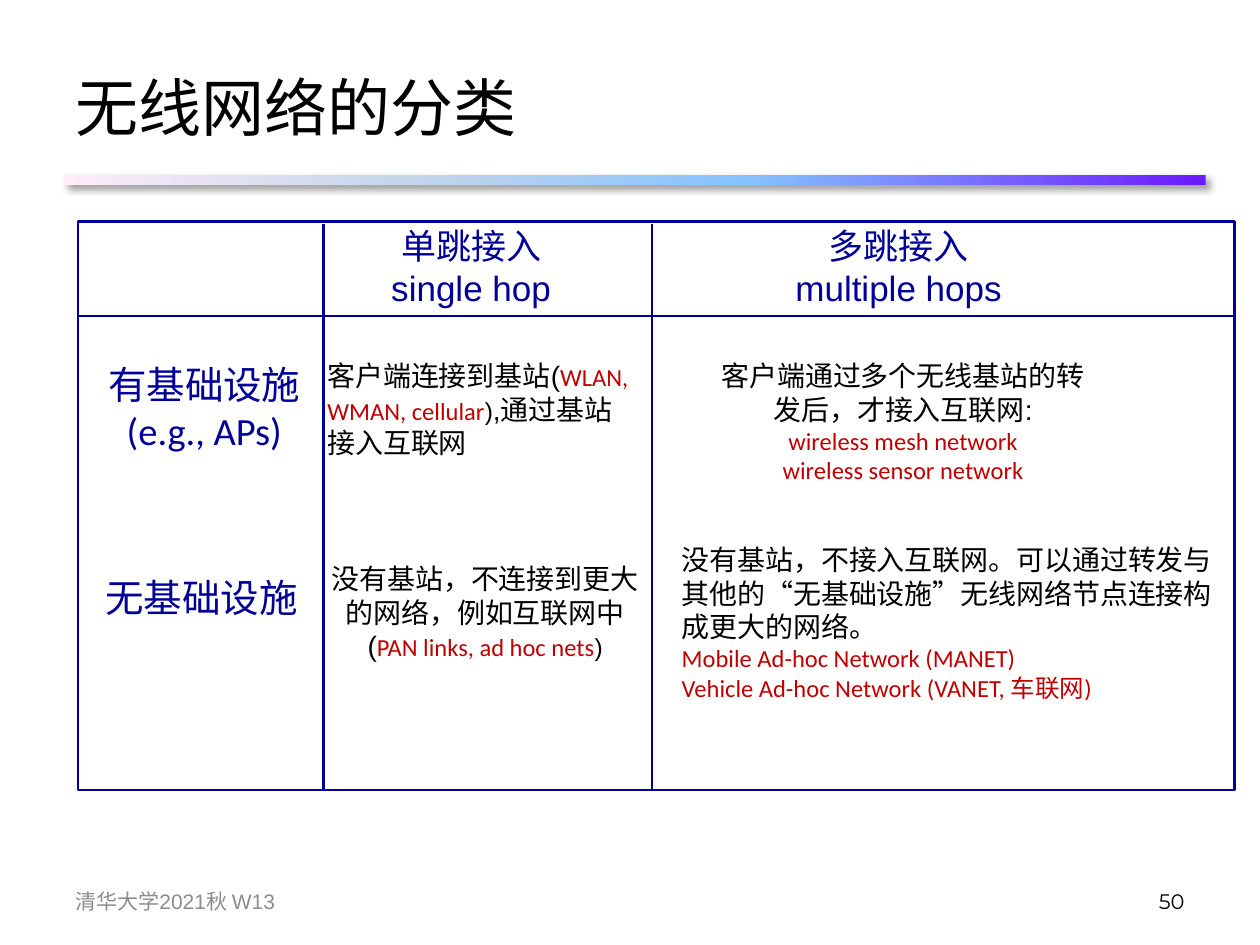
"""Build a slide that classifies wireless networks by hops and infrastructure."""
import lxml.etree
import pptx
import pptx.dml.color
import pptx.enum.shapes
import pptx.enum.text
import pptx.oxml.ns
import pptx.util

Pt = pptx.util.Pt
RGBColor = pptx.dml.color.RGBColor
qn = pptx.oxml.ns.qn
ALIGN = pptx.enum.text.PP_ALIGN
ANCHOR = pptx.enum.text.MSO_ANCHOR
SHAPE = pptx.enum.shapes.MSO_SHAPE

BLACK = RGBColor(0x00, 0x00, 0x00)
NAVY = RGBColor(0x00, 0x00, 0x99)
RED = RGBColor(0xC0, 0x00, 0x00)
GREY = RGBColor(0x8C, 0x8C, 0x8C)
BAR_STOPS = [(0, RGBColor(0x6B, 0x19, 0xFF)), (40, RGBColor(0x85, 0xC2, 0xFF)),
             (70, RGBColor(0xC4, 0xD6, 0xEB)), (100, RGBColor(0xFF, 0xEB, 0xFA))]

STYLES = {
    "title": (36, "Calibri", BLACK),
    "column": (20, "Arial", NAVY),
    "row": (22, "Calibri", NAVY),
    "body": (16, "Arial", BLACK),
    "small": (14, "Arial", BLACK),
    "example": (14, "Calibri", RED),
    "footer": (12, "Arial", GREY),
    "number": (12, "Montserrat", BLACK),
}

TITLE = "无线网络的分类"
HEADINGS = [
    ((216, 124.5, 106.5, 55.5), "column", ["单跳接入", "single hop"]),
    ((446.5, 124.5, 134, 55.5), "column", ["多跳接入", "multiple hops"]),
    ((54, 202.5, 125.5, 60.5), "row", ["有基础设施", "(e.g., APs)"]),
    ((52.5, 324.5, 125.5, 34), "row", ["无基础设施"]),
]
CELLS = [
    ((180, 201.5, 191.5, 65.5), ALIGN.LEFT, [
        [("客户端连接到基站(", "body"), ("WLAN,", "example")],
        [("WMAN, cellular", "example"), (")", "small"), (",通过基站接入互联网", "body")]]),
    ((178, 317.5, 198.5, 65.5), ALIGN.CENTER, [
        [("没有基站，不连接到更大", "body")],
        [("的网络，例如互联网中(", "body"), ("PAN links, ad hoc nets", "example"),
         (")", "small")]]),
    ((399, 201.5, 234, 80), ALIGN.CENTER, [
        [("客户端通过多个无线基站的转发后，才接入互联网:", "body")],
        [("wireless mesh network", "example")],
        [("wireless sensor network", "example")]]),
    ((382.5, 306.5, 324, 99.5), ALIGN.LEFT, [
        [("没有基站，不接入互联网。可以通过转发与其他的“无基础设施”无线网络节点连接构成更大的网络。",
          "body")],
        [("Mobile Ad-hoc Network (MANET)", "example")],
        [("Vehicle Ad-hoc Network (VANET, 车联网)", "example")]]),
]
FOOTERS = [
    ((36, 500.5, 168, 28.5), ALIGN.LEFT, "清华大学2021秋 W13", "footer"),
    ((516, 500.5, 168, 28.5), ALIGN.RIGHT, "50", "number"),
]
BAR = (36.5, 100, 652.5, 6)
GRID = (44.5, 126.5, 661, 325)
HEADER_BOTTOM = 180.5
COLUMN_EDGES = [185, 372.5]


def write(frame, paragraphs, align):
    for index, pieces in enumerate(paragraphs):
        paragraph = frame.paragraphs[0] if index == 0 else frame.add_paragraph()
        paragraph.alignment = align
        for words, style in pieces:
            run = paragraph.add_run()
            run.text = words
            size, face, color = STYLES[style]
            run.font.size = Pt(size)
            run.font.name = face
            run.font.color.rgb = color


def add_text(slide, box, paragraphs, align, wrap=True, anchor=ANCHOR.TOP, grow=True):
    frame = slide.shapes.add_textbox(*map(Pt, box)).text_frame
    frame.word_wrap = wrap
    frame.vertical_anchor = anchor
    if grow:
        frame.auto_size = pptx.enum.text.MSO_AUTO_SIZE.SHAPE_TO_FIT_TEXT
    write(frame, paragraphs, align)


def add_color(parent, color):
    return lxml.etree.SubElement(parent, qn("a:srgbClr"), val=str(color))


def add_bar(slide):
    bar = slide.shapes.add_shape(SHAPE.RECTANGLE, *map(Pt, BAR))
    bar.line.fill.background()
    bar.fill.gradient()
    bar.fill.gradient_angle = 180
    properties = bar.fill._xPr
    stops = properties.find(".//" + qn("a:gsLst"))
    for stop in list(stops):
        stops.remove(stop)
    for percent, color in BAR_STOPS:
        stop = lxml.etree.SubElement(stops, qn("a:gs"), pos=str(percent * 1000))
        add_color(stop, color)
    bar.shadow.inherit = False
    shadow = lxml.etree.SubElement(
        properties.find(qn("a:effectLst")), qn("a:outerShdw"),
        blurRad=str(Pt(4)), dist=str(Pt(3)), dir=str(45 * 60000),
        algn="tl", rotWithShape="0")
    lxml.etree.SubElement(add_color(shadow, BLACK), qn("a:alpha"), val="40000")


def add_rule(slide, start, end):
    rule = slide.shapes.add_connector(
        pptx.enum.shapes.MSO_CONNECTOR.STRAIGHT, *map(Pt, start + end))
    rule.line.color.rgb = NAVY
    rule.line.width = Pt(1.5)
    lxml.etree.SubElement(rule._element.spPr, qn("a:effectLst"))


def add_grid(slide):
    left, top, width, height = GRID
    border = slide.shapes.add_shape(SHAPE.RECTANGLE, *map(Pt, GRID))
    border.shadow.inherit = False
    border.fill.background()
    border.line.color.rgb = NAVY
    border.line.width = Pt(1.5)
    add_rule(slide, (left, HEADER_BOTTOM), (left + width, HEADER_BOTTOM))
    for edge in COLUMN_EDGES:
        add_rule(slide, (edge, top + 1.5), (edge, top + height))


def main():
    deck = pptx.Presentation()
    deck.slide_width, deck.slide_height = Pt(720), Pt(540)
    slide = deck.slides.add_slide(deck.slide_layouts[5])
    add_bar(slide)
    title = slide.shapes.title
    title.left, title.top, title.width, title.height = map(Pt, (36, 21.5, 648, 78.5))
    title.text_frame.vertical_anchor = ANCHOR.MIDDLE
    write(title.text_frame, [[(TITLE, "title")]], ALIGN.LEFT)
    for box, style, lines in HEADINGS:
        add_text(slide, box, [[(line, style)] for line in lines], ALIGN.CENTER, wrap=False)
    for box, align, paragraphs in CELLS:
        add_text(slide, box, paragraphs, align)
    add_grid(slide)
    for box, align, words, style in FOOTERS:
        add_text(slide, box, [[(words, style)]], align, anchor=ANCHOR.MIDDLE, grow=False)
    deck.save("out.pptx")


if __name__ == "__main__":
    main()
